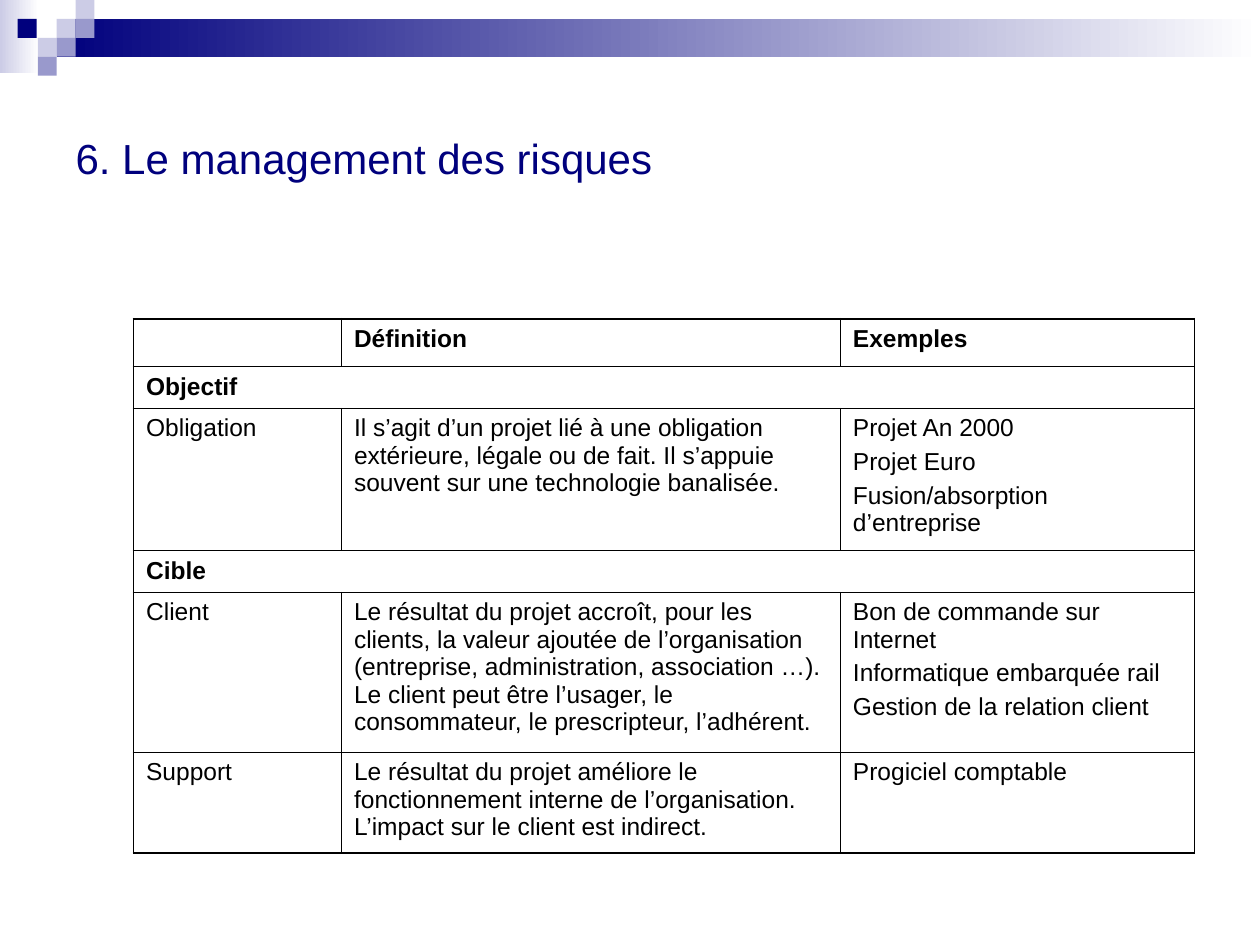
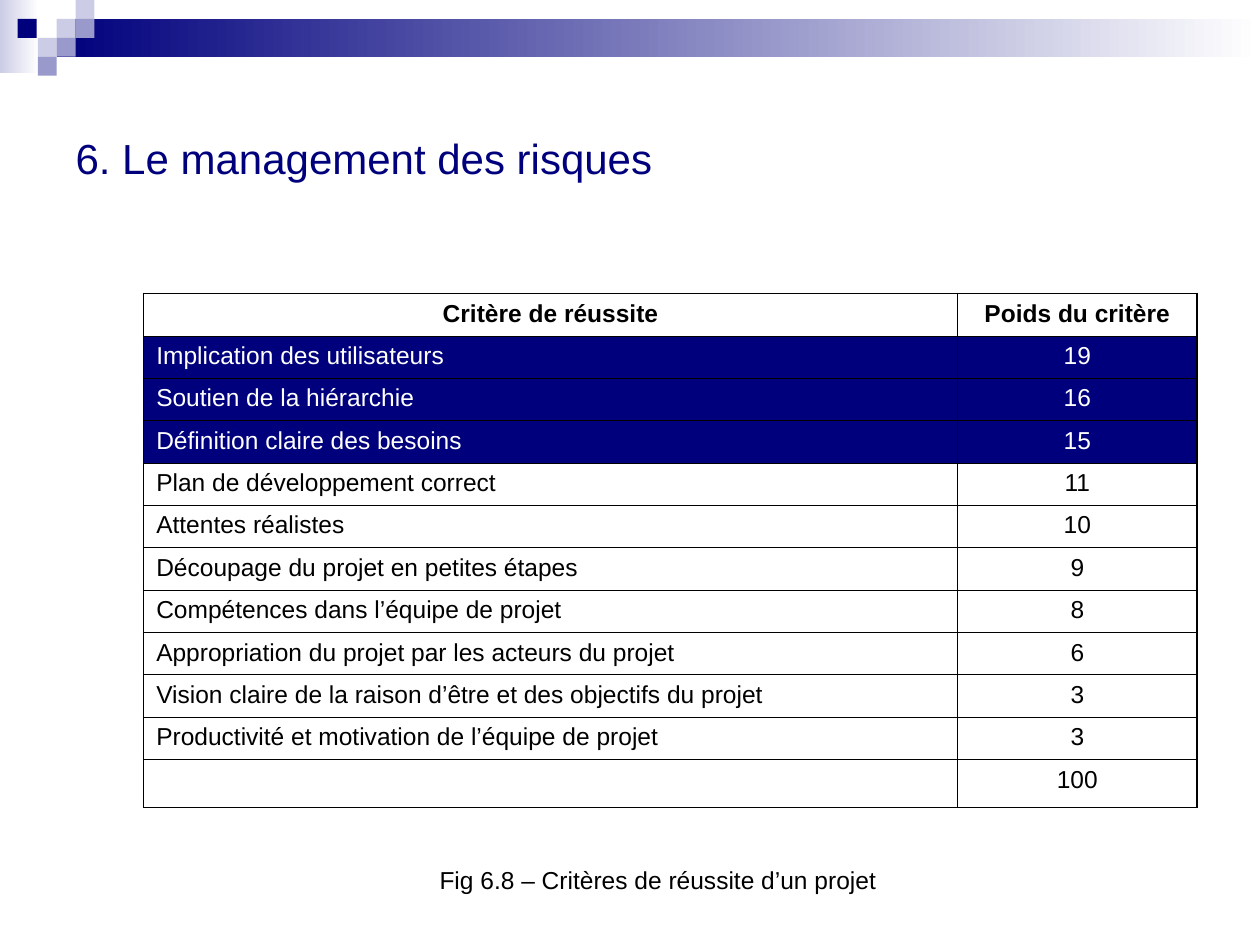
from dataclasses import dataclass
from typing import Any

import pptx
import pptx.dml.color
import pptx.enum.shapes
import pptx.enum.text
import pptx.oxml
import pptx.oxml.ns
import pptx.util

Inches = pptx.util.Inches
Align = pptx.enum.text.PP_ALIGN
Anchor = pptx.enum.text.MSO_ANCHOR

# Shared look
FONT = "Arial"
NAVY, BLUE, PALE = "00007D", "9999CC", "CCCCE6"
WHITE, BLACK = "FFFFFF", "000000"
TITLE = "6. Le management des risques"
OUTER_LINE, INNER_LINE = 1.08, 0.45
SQUARE = 0.15


@dataclass(frozen=True)
class Block:
    left: float
    top: float
    width: float
    height: float
    fill: str
    fades: bool = False


@dataclass(frozen=True)
class Row:
    height: float
    texts: tuple[str, ...]
    bold: bool = False
    fill: str | None = None
    color: str = BLACK

    @property
    def is_section(self) -> bool:
        return len(self.texts) == 1


@dataclass(frozen=True)
class Grid:
    left: float
    top: float
    widths: tuple[float, ...]
    rows: tuple[Row, ...]


BANNER = (
    Block(0, 0, 0.31, 0.58, PALE, fades=True),
    Block(0.45, 0.15, 9.55, 0.3, NAVY, fades=True),
) + tuple(
    Block(left, top, SQUARE, SQUARE, fill)
    for left, top, fill in (
        (0.45, 0.15, PALE), (0.6, 0, PALE), (0.6, 0.15, BLUE), (0.3, 0.3, PALE),
        (0.14, 0.15, NAVY), (0.45, 0.3, BLUE), (0.3, 0.45, BLUE),
    )
)

PROJECT_TYPES = Grid(1.06, 2.53, (1.65, 3.96, 2.81), (
    Row(0.38, ("", "Définition", "Exemples"), bold=True),
    Row(0.33, ("Objectif",), bold=True),
    Row(1.13, (
        "Obligation",
        "Il s’agit d’un projet lié à une obligation extérieure, légale ou de fait. "
        "Il s’appuie souvent sur une technologie banalisée.",
        "Projet An 2000\nProjet Euro\nFusion/absorption d’entreprise",
    )),
    Row(0.33, ("Cible",), bold=True),
    Row(1.27, (
        "Client",
        "Le résultat du projet accroît, pour les clients, la valeur ajoutée de "
        "l’organisation (entreprise, administration, association …). Le client peut "
        "être l’usager, le consommateur, le prescripteur, l’adhérent.",
        "Bon de commande sur Internet\nInformatique embarquée rail\n"
        "Gestion de la relation client",
    )),
    Row(0.8, (
        "Support",
        "Le résultat du projet améliore le fonctionnement interne de l’organisation. "
        "L’impact sur le client est indirect.",
        "Progiciel comptable",
    )),
))

CRITERIA = (
    ("Implication des utilisateurs", 19),
    ("Soutien de la hiérarchie", 16),
    ("Définition claire des besoins", 15),
    ("Plan de développement correct", 11),
    ("Attentes réalistes", 10),
    ("Découpage du projet en petites étapes", 9),
    ("Compétences dans l’équipe de projet", 8),
    ("Appropriation du projet par les acteurs du projet", 6),
    ("Vision claire de la raison d’être et des objectifs du projet", 3),
    ("Productivité et motivation de l’équipe de projet", 3),
)
HIGHLIGHTED = 3
CRITERION_HEIGHT = 3.7 / (len(CRITERIA) + 1)

SUCCESS_CRITERIA = Grid(1.14, 2.33, (6.46, 1.9), (
    Row(CRITERION_HEIGHT, ("Critère de réussite", "Poids du critère"), bold=True),
    *(
        Row(CRITERION_HEIGHT, (name, str(weight)),
            fill=NAVY if index < HIGHLIGHTED else None,
            color=WHITE if index < HIGHLIGHTED else BLACK)
        for index, (name, weight) in enumerate(CRITERIA)
    ),
    Row(0.38, ("", "100")),
))


def rgb(value: str) -> pptx.dml.color.RGBColor:
    return pptx.dml.color.RGBColor.from_string(value)


def write_text(frame: Any, text: str, *, size: float = 14, color: str = BLACK,
               bold: bool = False, align: Any = Align.LEFT, gap: float = 0) -> None:
    """Write one paragraph per line, with a gap before all but the first."""
    frame.text = text
    for index, paragraph in enumerate(frame.paragraphs):
        paragraph.alignment = align
        paragraph.space_before = pptx.util.Pt(gap if index else 0)
        paragraph.font.name = FONT
        paragraph.font.size = pptx.util.Pt(size)
        paragraph.font.bold = bold
        paragraph.font.color.rgb = rgb(color)


def move_banner_to_layout(slide: Any) -> None:
    """Draw the banner and place it behind the layout's placeholders."""
    tree = slide.slide_layout.element.cSld.spTree
    for index, block in enumerate(BANNER):
        shape = slide.shapes.add_shape(
            pptx.enum.shapes.MSO_SHAPE.RECTANGLE, Inches(block.left), Inches(block.top),
            Inches(block.width), Inches(block.height))
        shape.shadow.inherit = False
        shape.line.fill.background()
        if block.fades:
            shape.fill.gradient()
            shape.fill.gradient_angle = 0
            for stop, color in zip(shape.fill.gradient_stops, (block.fill, WHITE)):
                stop.color.rgb = rgb(color)
        else:
            shape.fill.solid()
            shape.fill.fore_color.rgb = rgb(block.fill)
        shape.element.nvSpPr.cNvPr.id = 100 + index
        tree.insert(2 + index, shape.element)


def add_titled_slide(presentation: Any) -> Any:
    slide = presentation.slides.add_slide(presentation.slide_layouts[5])
    title = slide.shapes.title
    title.left, title.top = Inches(0.5), Inches(0.5)
    title.width, title.height = Inches(9), Inches(1.5)
    title.text_frame.vertical_anchor = Anchor.MIDDLE
    title.text_frame.auto_size = pptx.enum.text.MSO_AUTO_SIZE.NONE
    write_text(title.text_frame, TITLE, size=24, color=NAVY)
    return slide


def set_borders(cell: Any, edges: dict[str, float]) -> None:
    properties = cell._tc.get_or_add_tcPr()
    for edge, width in edges.items():
        properties.append(pptx.oxml.parse_xml(
            f'<a:ln{edge} {pptx.oxml.ns.nsdecls("a")} w="{pptx.util.Pt(width)}">'
            f'<a:solidFill><a:srgbClr val="{BLACK}"/></a:solidFill></a:ln{edge}>'))


def add_grid(slide: Any, grid: Grid, alignments: tuple[Any, ...],
             header_align: Any = Align.LEFT) -> None:
    last_row, last_column = len(grid.rows) - 1, len(grid.widths) - 1
    table = slide.shapes.add_table(
        last_row + 1, last_column + 1, Inches(grid.left), Inches(grid.top),
        Inches(sum(grid.widths)), Inches(sum(row.height for row in grid.rows))).table
    table.first_row = table.horz_banding = False
    for column, width in zip(table.columns, grid.widths):
        column.width = Inches(width)

    for row_index, row in enumerate(grid.rows):
        table.rows[row_index].height = Inches(row.height)
        if row.is_section:
            table.cell(row_index, 0).merge(table.cell(row_index, last_column))
        for column_index in range(last_column + 1):
            cell = table.cell(row_index, column_index)
            at_limit = {
                "L": column_index == 0,
                "R": column_index == last_column or row.is_section and column_index == 0,
                "T": row_index == 0,
                "B": row_index == last_row,
            }
            set_borders(cell, {
                edge: OUTER_LINE if outer else INNER_LINE
                for edge, outer in at_limit.items()
                if outer or edge in "TB" or not row.is_section
            })
            if row.fill:
                cell.fill.solid()
                cell.fill.fore_color.rgb = rgb(row.fill)
            else:
                cell.fill.background()
            if column_index < len(row.texts):
                align = alignments[column_index] if row_index else header_align
                write_text(cell.text_frame, row.texts[column_index], color=row.color,
                           bold=row.bold, align=align, gap=3.5)


def main() -> None:
    presentation = pptx.Presentation()
    presentation.slide_width, presentation.slide_height = Inches(10), Inches(7.5)

    # Project types by objective and target
    types_slide = add_titled_slide(presentation)
    move_banner_to_layout(types_slide)
    add_grid(types_slide, PROJECT_TYPES, (Align.LEFT,) * 3)

    # Weighted success criteria, with caption
    criteria_slide = add_titled_slide(presentation)
    add_grid(criteria_slide, SUCCESS_CRITERIA, (Align.LEFT, Align.CENTER),
             header_align=Align.CENTER)
    caption = criteria_slide.shapes.add_textbox(
        Inches(3.39), Inches(6.82), Inches(3.67), Inches(0.34))
    caption.text_frame.word_wrap = False
    write_text(caption.text_frame, "Fig 6.8 – Critères de réussite d’un projet")

    presentation.save("out.pptx")


if __name__ == "__main__":
    main()
